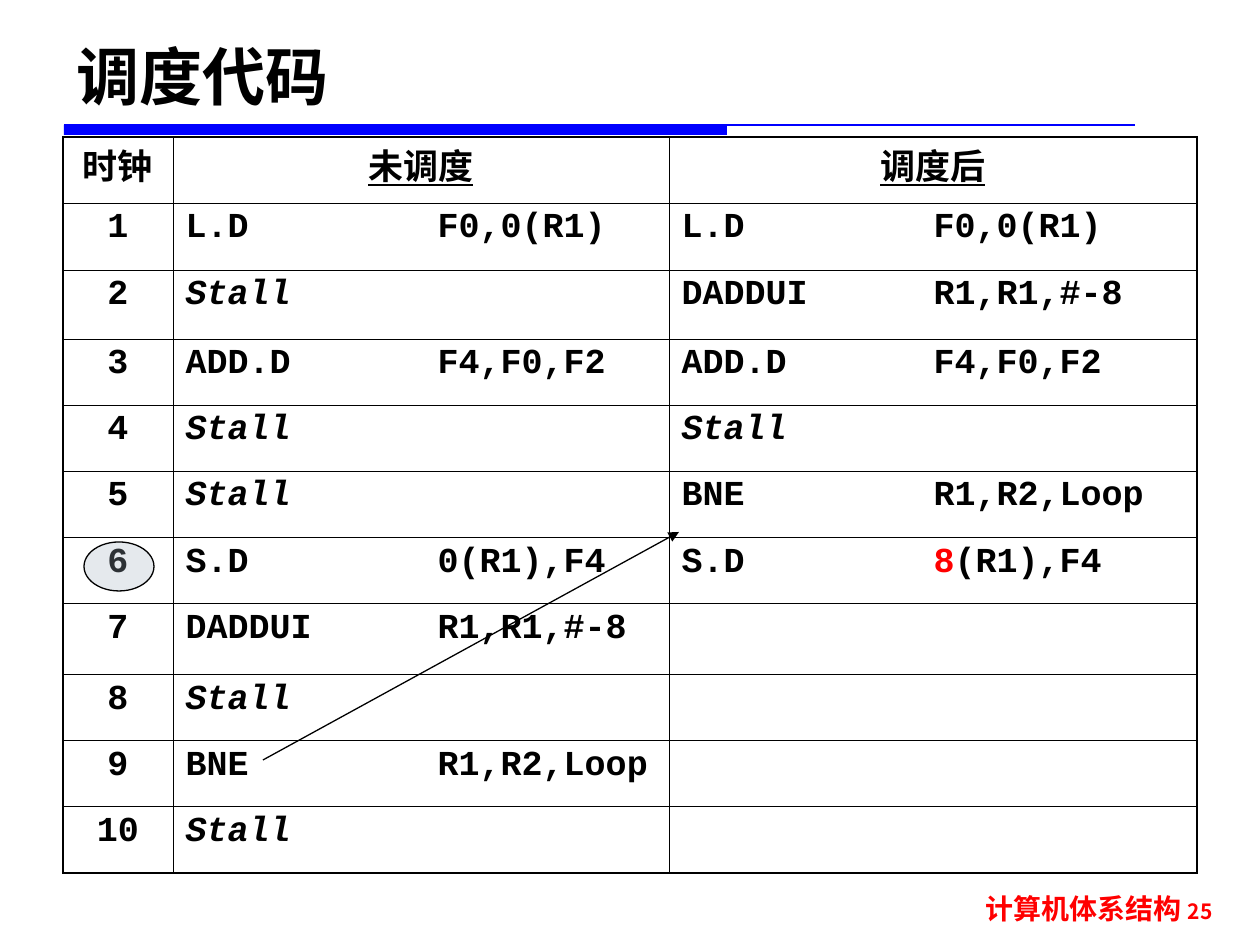
from lxml.etree import SubElement
from pptx import Presentation
from pptx.dml.color import RGBColor
from pptx.enum.shapes import MSO_CONNECTOR, MSO_SHAPE
from pptx.enum.text import MSO_ANCHOR, PP_ALIGN
from pptx.oxml import parse_xml
from pptx.oxml.ns import nsdecls, qn
from pptx.util import Emu, Pt

BLACK = RGBColor(0, 0, 0)
RED = RGBColor(255, 0, 0)
BLUE = RGBColor(0, 0, 255)
GREY_BLUE = RGBColor(0xA3, 0xB2, 0xC1)
PX = 914400 / 126
INCH = 914400


def px(*lengths):
    return [Emu(round(length * PX)) for length in lengths]


def add_run(paragraph, text, size, latin, color=BLACK):
    run = paragraph.add_run()
    run.text = text
    font = run.font
    font.size, font.bold, font.name = Pt(size), True, latin
    font.color.rgb = color
    SubElement(font._element, qn("a:ea"), typeface="Noto Sans CJK SC")
    return font


deck = Presentation()
deck.slide_width, deck.slide_height = px(1260, 945)
slide = deck.slides.add_slide(deck.slide_layouts[6])
shapes = slide.shapes

title_bar = shapes.add_shape(MSO_SHAPE.RECTANGLE, *px(64, 125, 663, 10))
title_bar.shadow.inherit = False
title_bar.fill.solid()
title_bar.fill.fore_color.rgb = BLUE
title_bar.line.fill.background()

footer = shapes.add_textbox(*px(916, 885, 309, 54)).text_frame
footer.word_wrap = True
footer.paragraphs[0].alignment = PP_ALIGN.RIGHT
add_run(footer.paragraphs[0], "计算机体系结构 ", 16, "Noto Sans CJK SC", RED)
add_run(footer.paragraphs[0], "25", 12, "Noto Sans CJK SC", RED)

title = shapes.add_textbox(*px(64, 26, 1091, 93)).text_frame
title.word_wrap = True
title.vertical_anchor = MSO_ANCHOR.BOTTOM
add_run(title.paragraphs[0], "调度代码", 36, "DejaVu Sans")

schedule = [
    ("时钟", ["未调度"], ["调度后"]),
    ("1", ["L.D\t\tF0,0(R1)"], ["L.D\t\tF0,0(R1)"]),
    ("2", ["Stall"], ["DADDUI\tR1,R1,#-8"]),
    ("3", ["ADD.D\t\tF4,F0,F2"], ["ADD.D\t\tF4,F0,F2"]),
    ("4", ["Stall"], ["Stall"]),
    ("5", ["Stall"], ["BNE\t\tR1,R2,Loop"]),
    ("6", ["S.D\t\t0(R1),F4"], ["S.D\t\t", "8", "(R1),F4"]),
    ("7", ["DADDUI\tR1,R1,#-8"], []),
    ("8", ["Stall"], []),
    ("9", ["BNE\t\tR1,R2,Loop"], []),
    ("10", ["Stall"], []),
]
column_widths = px(110, 496, 528)
row_heights = px(66, 67, 69, 66, 66, 67, 66, 71, 66, 66, 66)
last_row, last_column = len(schedule) - 1, len(column_widths) - 1

table = shapes.add_table(len(schedule), 3, *px(63, 137, 1134, 736)).table
table.first_row = table.horz_banding = False
for column, width in zip(table.columns, column_widths):
    column.width = width
for row, height in zip(table.rows, row_heights):
    row.height = height

for r, (clock, before, after) in enumerate(schedule):
    for c, pieces in enumerate(([clock], before, after)):
        cell = table.cell(r, c)
        cell.fill.background()
        cell.margin_left, cell.margin_right = Emu(91440), Emu(91440)
        cell.margin_top, cell.margin_bottom = Emu(45720), Emu(45720)
        sides = {"L": c == 0, "R": c == last_column, "T": r == 0, "B": r == last_row}
        for position, (side, outer) in enumerate(sides.items()):
            cell._tc.tcPr.insert(position, parse_xml(
                f'<a:ln{side} {nsdecls("a")} w="{13716 if outer else 5715}">'
                f'<a:solidFill><a:srgbClr val="{BLACK}"/></a:solidFill></a:ln{side}>'))

        paragraph = cell.text_frame.paragraphs[0]
        paragraph.line_spacing = 0.9
        if r == 0 or c == 0:
            paragraph.alignment = PP_ALIGN.CENTER
        else:
            paragraph.alignment = PP_ALIGN.LEFT
            tab_stops = SubElement(paragraph._p.get_or_add_pPr(), qn("a:tabLst"))
            for inch in range(8):
                SubElement(tab_stops, qn("a:tab"), pos=str(inch * INCH), algn="l")
        for piece in pieces:
            font = add_run(paragraph, piece, 20, "Courier New", RED if c and piece == "8" else BLACK)
            if r == 0 and c > 0:
                font.underline = True
            if piece == "Stall":
                font.italic = True

title_rule = shapes.add_connector(MSO_CONNECTOR.STRAIGHT, *px(64, 125, 1135, 125))
move_arrow = shapes.add_connector(MSO_CONNECTOR.STRAIGHT, *px(263, 760, 679, 532))
for line, color in ((title_rule, BLUE), (move_arrow, BLACK)):
    line.line.color.rgb = color
    line.line.width = Pt(0.75)
    SubElement(line._element.spPr, qn("a:effectLst"))
SubElement(move_arrow.line._get_or_add_ln(), qn("a:tailEnd"), type="triangle")

clock_mark = shapes.add_shape(MSO_SHAPE.OVAL, *px(84, 542, 70, 49))
clock_mark.shadow.inherit = False
clock_mark.fill.solid()
clock_mark.fill.fore_color.rgb = GREY_BLUE
tint = clock_mark._element.spPr.find(qn("a:solidFill")).find(qn("a:srgbClr"))
SubElement(tint, qn("a:alpha"), val="28000")
clock_mark.line.color.rgb = BLACK
clock_mark.line.width = Pt(0.75)

deck.save("out.pptx")
